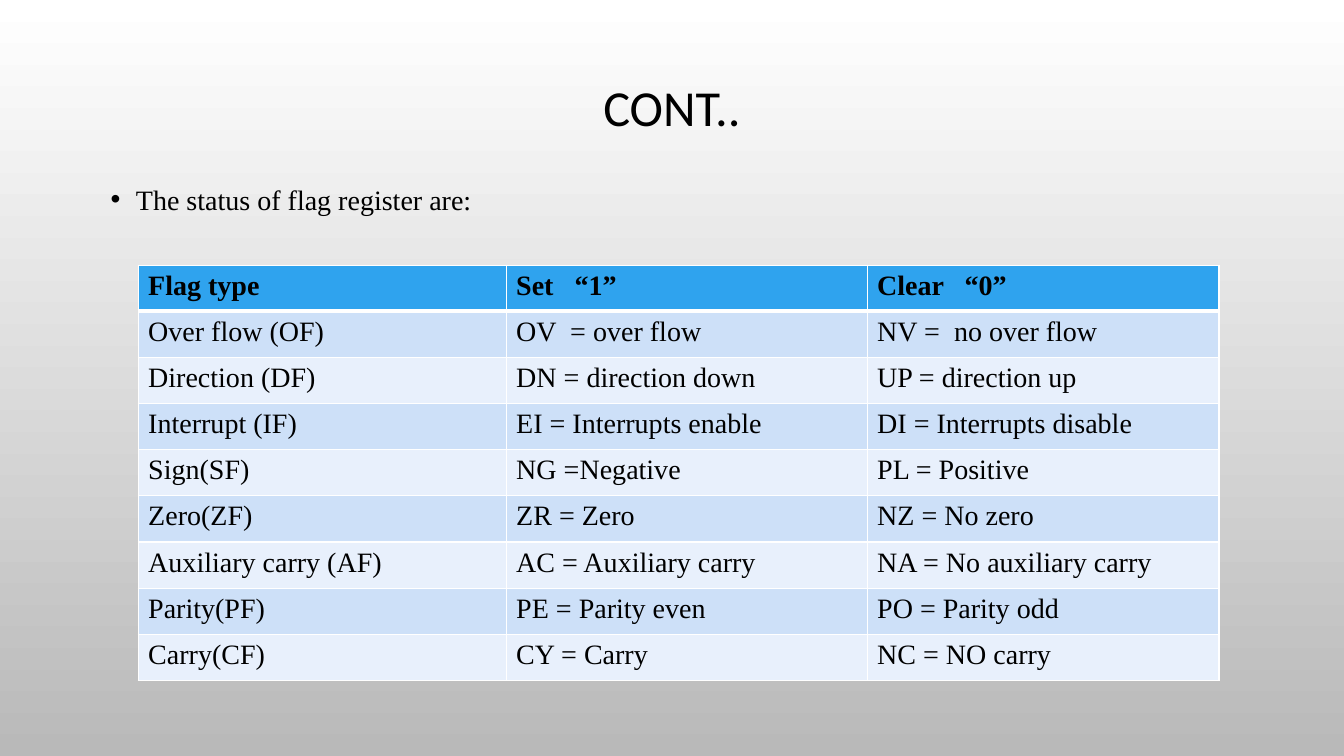
from lxml import etree
from pptx import Presentation
from pptx import util as u
from pptx.dml.color import RGBColor
from pptx.enum import text
from pptx.oxml import ns

BLACK = RGBColor(0x00, 0x00, 0x00)
WHITE = RGBColor(0xFF, 0xFF, 0xFF)
GREY = RGBColor(0xB9, 0xB9, 0xB9)
HEADER_BLUE = RGBColor(0x2F, 0xA3, 0xEE)
BAND_FILLS = (RGBColor(0xE8, 0xF0, 0xFC), RGBColor(0xCD, 0xE0, 0xF8))

WIDTH, HEIGHT = u.Inches(13.33), u.Inches(7.5)
MARGIN = u.Inches(1)
CONTENT_WIDTH = WIDTH - 2 * MARGIN
COLUMN_WIDTHS = [u.Inches(w) for w in (3.65, 3.58, 3.49)]
ROW_HEIGHT = u.Inches(0.458)

FLAGS = [
    ("Flag type", "Set   “1”", "Clear   “0”"),
    ("Over flow (OF)", "OV  = over flow", "NV =  no over flow"),
    ("Direction (DF)", "DN = direction down", "UP = direction up"),
    ("Interrupt (IF)", "EI = Interrupts enable", "DI = Interrupts disable"),
    ("Sign(SF)", "NG =Negative", "PL = Positive"),
    ("Zero(ZF)", "ZR = Zero", "NZ = No zero"),
    ("Auxiliary carry (AF)", "AC = Auxiliary carry", "NA = No auxiliary carry"),
    ("Parity(PF)", "PE = Parity even", "PO = Parity odd"),
    ("Carry(CF)", "CY = Carry", "NC = NO carry"),
]


def add_run(paragraph, words, size=20, font="Times New Roman", bold=False):
    run = paragraph.add_run()
    run.text = words
    run.font.name = font
    run.font.size = u.Pt(size)
    run.font.bold = bold
    run.font.color.rgb = BLACK


def paint_background(slide):
    fill = slide.background.fill
    fill.gradient()
    fill.gradient_angle = 270
    for stop, position, colour in zip(fill.gradient_stops, (0, 1), (WHITE, GREY)):
        stop.position = position
        stop.color.rgb = colour


def set_title(slide, words):
    title = slide.shapes.title
    title.left, title.top = MARGIN, u.Inches(0.68)
    title.width, title.height = CONTENT_WIDTH, u.Inches(0.83)
    title.text_frame.vertical_anchor = text.MSO_ANCHOR.MIDDLE
    heading = title.text_frame.paragraphs[0]
    heading.alignment = text.PP_ALIGN.CENTER
    heading.line_spacing = 0.9
    add_run(heading, words, size=36, font="Calibri")


def add_bullet(slide, words):
    body = slide.shapes.add_textbox(MARGIN, u.Inches(1.69), CONTENT_WIDTH, u.Inches(5.27))
    body.text_frame.word_wrap = True
    point = body.text_frame.paragraphs[0]
    point.line_spacing = 1.2
    properties = point._p.get_or_add_pPr()
    properties.set("marL", str(u.Inches(0.25)))
    properties.set("indent", str(-u.Inches(0.25)))
    etree.SubElement(properties, ns.qn("a:buFont"), typeface="Arial")
    etree.SubElement(properties, ns.qn("a:buChar"), char="•")
    add_run(point, words)


def set_borders(cell, bottom):
    properties = cell._tc.get_or_add_tcPr()
    for index, (side, points) in enumerate((("L", 1), ("R", 1), ("T", 1), ("B", bottom))):
        border = etree.Element(ns.qn(f"a:ln{side}"), w=str(u.Pt(points)))
        solid = etree.SubElement(border, ns.qn("a:solidFill"))
        etree.SubElement(solid, ns.qn("a:srgbClr"), val=str(WHITE))
        properties.insert(index, border)


def add_flag_table(slide):
    frame = slide.shapes.add_table(
        len(FLAGS), len(COLUMN_WIDTHS), u.Inches(1.37), u.Inches(2.63),
        sum(COLUMN_WIDTHS), ROW_HEIGHT * len(FLAGS))
    flags = frame.table
    for column, width in zip(flags.columns, COLUMN_WIDTHS):
        column.width = width
    for row, entries in enumerate(FLAGS):
        flags.rows[row].height = ROW_HEIGHT
        is_header = row == 0
        for column, words in enumerate(entries):
            cell = flags.cell(row, column)
            cell.fill.solid()
            cell.fill.fore_color.rgb = HEADER_BLUE if is_header else BAND_FILLS[row % 2]
            set_borders(cell, bottom=3 if is_header else 1)
            add_run(cell.text_frame.paragraphs[0], words, bold=is_header)


def main():
    deck = Presentation()
    deck.slide_width, deck.slide_height = WIDTH, HEIGHT
    slide = deck.slides.add_slide(deck.slide_layouts.get_by_name("Title Only"))
    paint_background(slide)
    set_title(slide, "CONT..")
    add_bullet(slide, "The status of flag register are:")
    add_flag_table(slide)
    deck.save("out.pptx")


if __name__ == "__main__":
    main()
